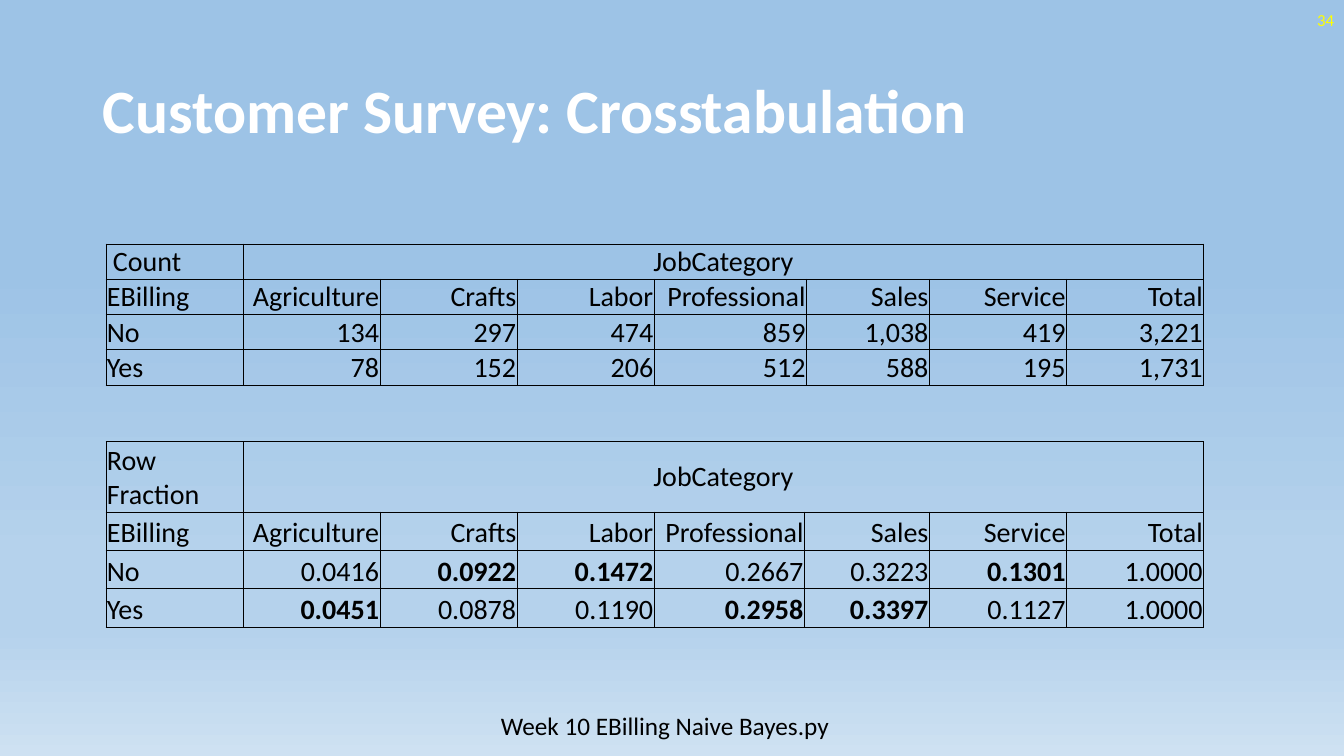
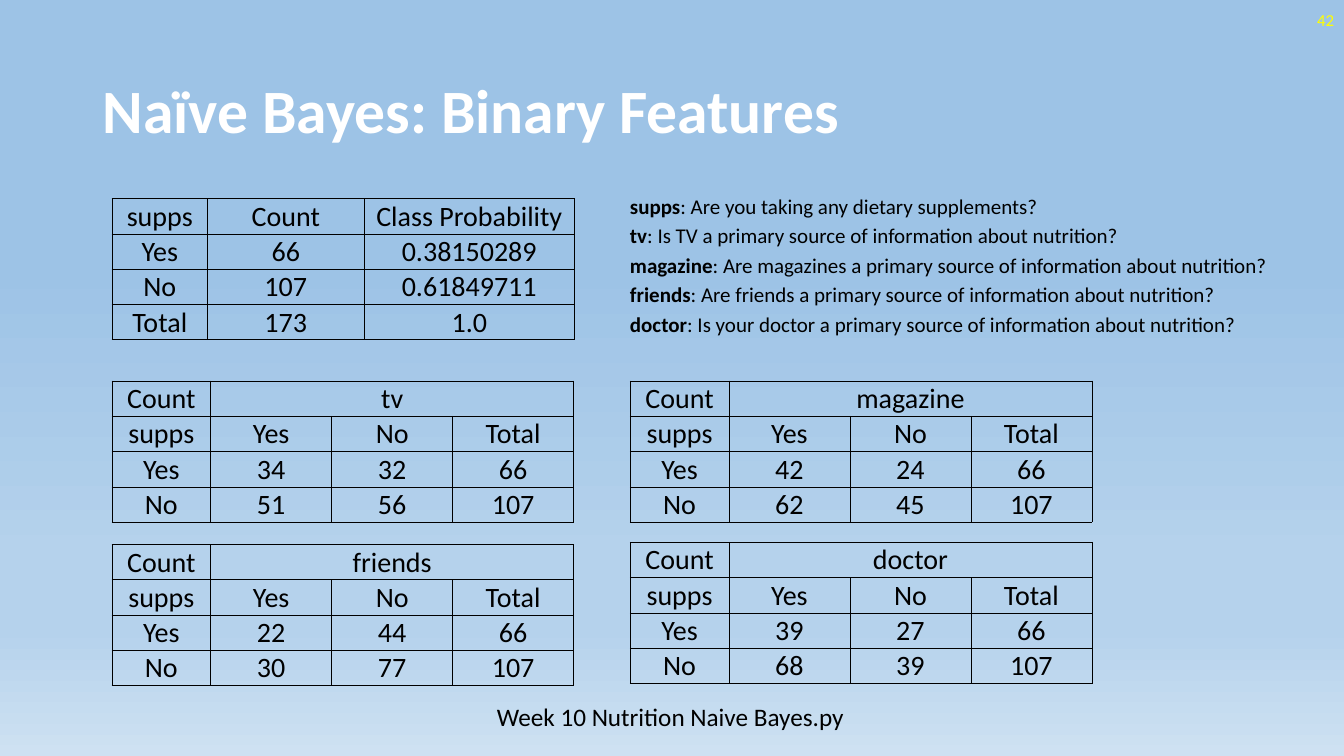
from dataclasses import dataclass

from lxml import etree
from pptx import Presentation
from pptx.dml import color as dml
from pptx.enum import text as en
from pptx.oxml import ns
from pptx.util import Inches, Pt

LEFT, MID, RIGHT = en.PP_ALIGN.LEFT, en.PP_ALIGN.CENTER, en.PP_ALIGN.RIGHT


@dataclass(frozen=True)
class Theme:
    font: str = "Calibri"
    white: str = "FFFFFF"
    black: str = "000000"
    yellow: str = "FFFF00"
    sky: tuple = ((35, "9DC3E6"), (74, "B5D2EC"), (83, "B5D2EC"), (100, "CEE1F2"))
    title: int = 44
    cell: int = 20
    foot: int = 18
    note: int = 15
    page: int = 12
    rule: float = 0.5


@dataclass(frozen=True)
class Grid:
    left: float
    top: float
    cols: tuple
    rows: list
    highs: tuple = (0.35,) * 4
    first: en.PP_ALIGN = MID
    rest: en.PP_ALIGN = MID
    anchor: en.MSO_ANCHOR = en.MSO_ANCHOR.MIDDLE
    indent: float = 0.01


THEME = Theme()
JOBS = "EBilling Agriculture Crafts Labor Professional Sales Service Total".split()
NOTES = [
    "*supps*: Are you taking any dietary supplements?",
    "*tv*: Is TV a primary source of information about nutrition?",
    "*magazine*: Are magazines a primary source of information about nutrition?",
    "*friends*: Are friends a primary source of information about nutrition?",
    "*doctor*: Is your doctor a primary source of information about nutrition?",
]


def write(frame, lines, *, size, color=THEME.black, align=LEFT,
          anchor=en.MSO_ANCHOR.TOP, after=0, space=1.0):
    """Text between asterisks is bold."""
    frame.vertical_anchor = anchor
    for i, line in enumerate(lines):
        para = frame.add_paragraph() if i else frame.paragraphs[0]
        para.alignment = align
        para.space_after = Pt(after)
        para.line_spacing = space
        for j, part in enumerate(line.split("*")):
            if part:
                run = para.add_run()
                run.text = part
                run.font.name = THEME.font
                run.font.size = Pt(size)
                run.font.bold = j % 2 == 1
                run.font.color.rgb = dml.RGBColor.from_string(color)


def add_box(slide, left, top, width, height, lines, wrap=True, **style):
    box = slide.shapes.add_textbox(
        Inches(left), Inches(top), Inches(width), Inches(height))
    box.text_frame.word_wrap = wrap
    write(box.text_frame, lines, **style)


def add_rules(cell) -> None:
    props = cell._tc.get_or_add_tcPr()
    for i, side in enumerate(("lnL", "lnR", "lnT", "lnB")):
        line = etree.Element(ns.qn(f"a:{side}"), w=str(Pt(THEME.rule)))
        fill = etree.SubElement(line, ns.qn("a:solidFill"))
        etree.SubElement(fill, ns.qn("a:srgbClr"), val=THEME.black)
        props.insert(i, line)


def add_grid(slide, grid: Grid) -> None:
    table = slide.shapes.add_table(
        len(grid.rows), len(grid.cols), Inches(grid.left), Inches(grid.top),
        Inches(sum(grid.cols)), Inches(sum(grid.highs))).table
    table.first_row = table.horz_banding = False
    for col, width in zip(table.columns, grid.cols):
        col.width = Inches(width)
    for row, high in zip(table.rows, grid.highs):
        row.height = Inches(high)
    for r, row in enumerate(grid.rows):
        span = len(row) < len(grid.cols)
        if span:
            table.cell(r, 1).merge(table.cell(r, len(grid.cols) - 1))
        for c in range(len(grid.cols)):
            cell = table.cell(r, c)
            cell.margin_left = cell.margin_right = cell.margin_top = Inches(0.01)
            cell.margin_bottom = 0
            cell.fill.background()
            add_rules(cell)
            if c < len(row):
                head = span and c == 1
                align = MID if head else grid.rest if c else grid.first
                anchor = en.MSO_ANCHOR.MIDDLE if head else grid.anchor
                write(cell.text_frame, [row[c]], size=THEME.cell, align=align)
                cell.vertical_anchor = anchor
    table.cell(0, 0).margin_left = Inches(grid.indent)


def add_slide(deck, title: str, page: int):
    slide = deck.slides.add_slide(deck.slide_layouts[5])
    head = slide.shapes.title
    head.left, head.top = Inches(0.92), Inches(0.4)
    head.width, head.height = Inches(11.5), Inches(1.45)
    head.text_frame.auto_size = en.MSO_AUTO_SIZE.NONE
    write(head.text_frame, [f"*{title}*"], size=THEME.title, color=THEME.white,
          anchor=en.MSO_ANCHOR.MIDDLE, space=0.9)
    add_box(slide, 10.33, 0, 3, 0.4, [str(page)], size=THEME.page,
            color=THEME.yellow, align=RIGHT, anchor=en.MSO_ANCHOR.MIDDLE)
    return slide


def add_foot(slide, left: float, top: float, width: float, label: str) -> None:
    add_box(slide, left, top, width, 0.4, [label], wrap=False, size=THEME.foot)


def paint_sky(deck) -> None:
    master = deck.slide_master
    fill = master.background.fill
    fill.gradient()
    fill.gradient_angle = 270
    stops = master.element.find(f".//{ns.qn('p:bg')}//{ns.qn('a:gsLst')}")
    for stop in list(stops):
        stops.remove(stop)
    for spot, color in THEME.sky:
        stop = etree.SubElement(stops, ns.qn("a:gs"), pos=str(spot * 1000))
        etree.SubElement(stop, ns.qn("a:srgbClr"), val=color)


def draw_survey(deck) -> None:
    slide = add_slide(deck, "Customer Survey: Crosstabulation", 34)
    style = dict(first=LEFT, rest=RIGHT, anchor=en.MSO_ANCHOR.BOTTOM)
    count = [
        ["Count", "JobCategory"],
        JOBS,
        "No 134 297 474 859 1,038 419 3,221".split(),
        "Yes 78 152 206 512 588 195 1,731".split(),
    ]
    share = [
        ["Row Fraction", "JobCategory"],
        JOBS,
        "No 0.0416 *0.0922* *0.1472* 0.2667 0.3223 *0.1301* 1.0000".split(),
        "Yes *0.0451* 0.0878 0.1190 *0.2958* *0.3397* 0.1127 1.0000".split(),
    ]
    side, tail = (1.36,) * 4, (1.36,) * 2
    add_grid(slide, Grid(1.05, 2.42, side + (1.51, 1.22) + tail, count,
                         indent=0.07, **style))
    add_grid(slide, Grid(1.05, 4.38, side + (1.49, 1.24) + tail, share,
                         highs=(0.7,) + (0.38,) * 3, **style))
    add_foot(slide, 4.87, 7, 3.49, "Week 10 EBilling Naive Bayes.py")


def cross_rows(name: str, yes: tuple, no: tuple) -> list:
    body = [[key, *map(str, (*pair, sum(pair)))]
            for key, pair in (("Yes", yes), ("No", no))]
    return [["Count", name], ["supps", "Yes", "No", "Total"], *body]


def draw_bayes(deck) -> None:
    slide = add_slide(deck, "Naïve Bayes: Binary Features", 42)
    prior = [
        ["supps", "Count", "Class Probability"],
        ["Yes", "66", "0.38150289"],
        ["No", "107", "0.61849711"],
        ["Total", "173", "1.0"],
    ]
    add_grid(slide, Grid(1.11, 1.97, (0.95, 1.55, 2.09), prior))
    for left, top, name, yes, no in (
        (1.11, 3.78, "tv", (34, 32), (51, 56)),
        (6.25, 3.78, "magazine", (42, 24), (62, 45)),
        (1.11, 5.4, "friends", (22, 44), (30, 77)),
        (6.25, 5.38, "doctor", (39, 27), (68, 39)),
    ):
        add_grid(slide, Grid(left, top, (0.98, 1.2, 1.2, 1.2),
                             cross_rows(name, yes, no)))
    add_box(slide, 6.15, 1.87, 6.57, 1.53, NOTES, size=THEME.note, after=3)
    add_foot(slide, 4.83, 6.91, 3.68, "Week 10 Nutrition Naive Bayes.py")


def main() -> None:
    deck = Presentation()
    deck.slide_width, deck.slide_height = Inches(13.33), Inches(7.5)
    paint_sky(deck)
    draw_survey(deck)
    draw_bayes(deck)
    deck.save("out.pptx")


if __name__ == "__main__":
    main()
